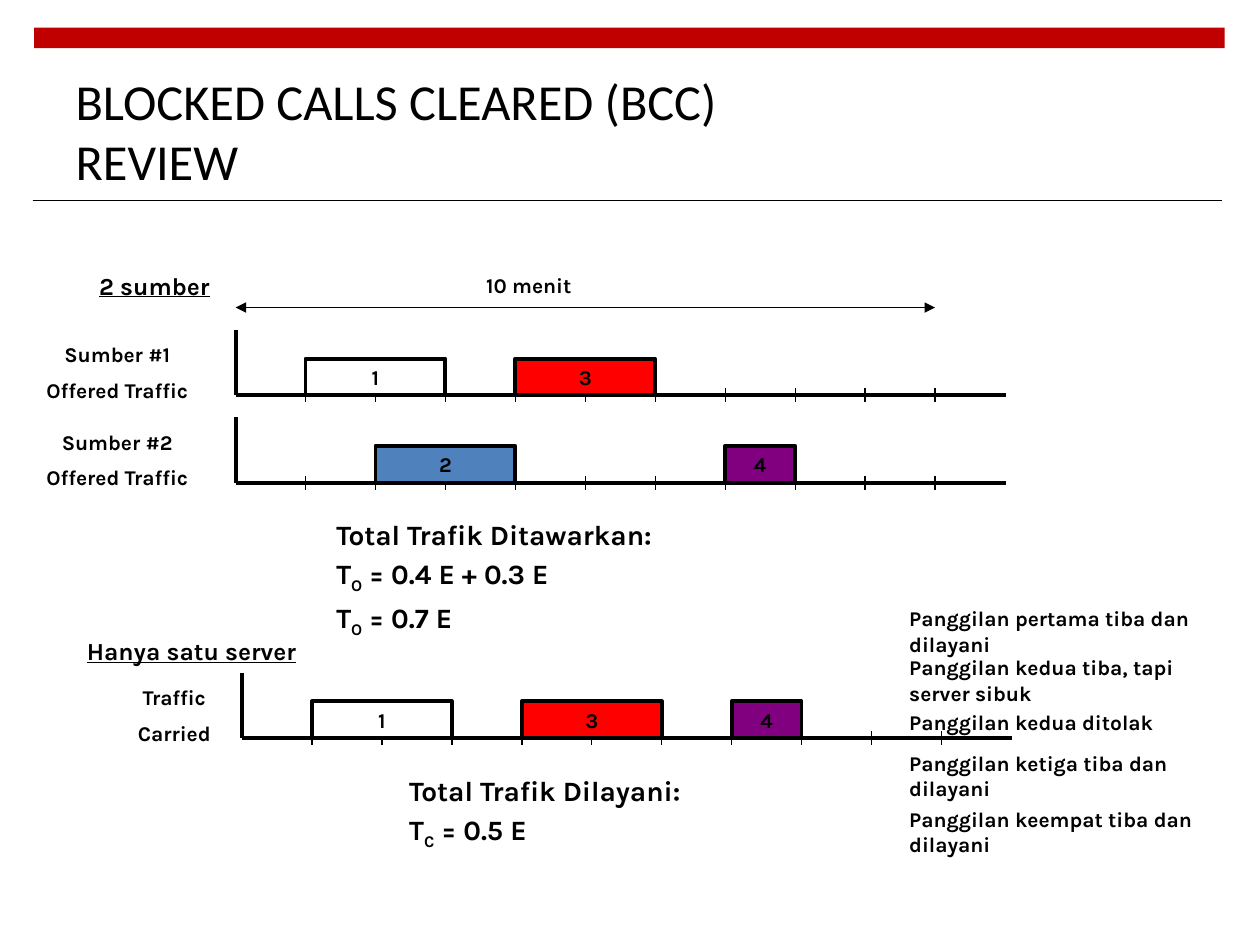
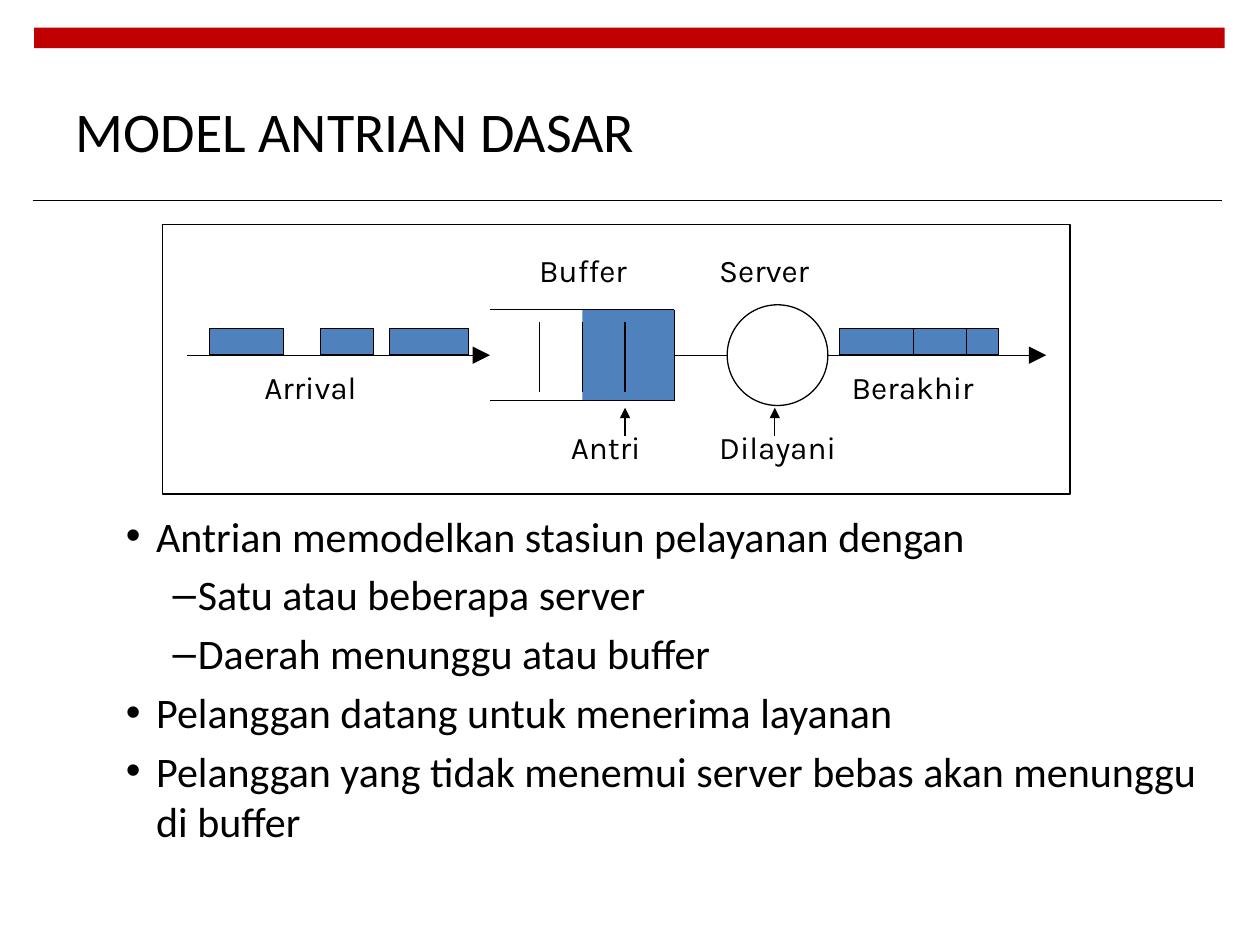
from dataclasses import dataclass

from lxml import etree
from pptx import Presentation
from pptx.dml.color import RGBColor
from pptx.enum.shapes import MSO_CONNECTOR, MSO_SHAPE
from pptx.enum.text import MSO_ANCHOR, MSO_AUTO_SIZE, PP_ALIGN
from pptx.oxml.ns import qn
from pptx.util import Cm, Pt

STRAIGHT = MSO_CONNECTOR.STRAIGHT
RECTANGLE, OVAL = MSO_SHAPE.RECTANGLE, MSO_SHAPE.OVAL
LEFT, CENTER = PP_ALIGN.LEFT, PP_ALIGN.CENTER
TOP, MIDDLE = MSO_ANCHOR.TOP, MSO_ANCHOR.MIDDLE
NO_AUTOSIZE = MSO_AUTO_SIZE.NONE
TITLE_ONLY = 5
RIGHT_SIDE = 3


@dataclass(frozen=True)
class Theme:
    ink: str = "000000"
    paper: str = "FFFFFF"
    band: str = "C00000"
    blue: str = "4F81BD"
    red: str = "FF0000"
    purple: str = "800080"
    heading_font: str = "Calibri"
    label_font: str = "Karla"
    note_size: float = 12
    caption_size: float = 14
    total_size: float = 16
    diagram_size: float = 18
    body_size: float = 24
    thin: float = 0.75
    thick: float = 2.25
    rule: float = 0.6


THEME = Theme()


@dataclass(frozen=True)
class Box:
    """A rectangle in centimetres."""
    left: float
    top: float
    width: float
    height: float

    def inside(self, left, top, width, height):
        return Box(self.left + left, self.top + top, width, height)

    def lengths(self):
        return [Cm(value) for value in (self.left, self.top, self.width, self.height)]


def color(code):
    return RGBColor.from_string(code)


def style_span(span, size, font, bold=False, underline=False):
    span.font.name = font
    span.font.size = Pt(size)
    span.font.bold = bold
    span.font.underline = underline
    span.font.color.rgb = color(THEME.ink)


def write(frame, lines, size, font=THEME.label_font, bold=False, underline=False,
          align=LEFT, anchor=TOP, gap=0.0):
    """Fill a text frame; text between bars, as in T|O|, is subscript."""
    frame.word_wrap = True
    frame.auto_size = NO_AUTOSIZE
    frame.vertical_anchor = anchor
    for index, line in enumerate(lines):
        para = frame.add_paragraph() if index else frame.paragraphs[0]
        para.alignment = align
        para.space_before = Pt(gap if index else 0)
        for part, text in enumerate(line.split("|")):
            span = para.add_run()
            span.text = text
            style_span(span, size, font, bold, underline)
            if part % 2:
                span._r.get_or_add_rPr().set("baseline", "-25000")


def add_text(page, box, lines, size, **style):
    frame = page.shapes.add_textbox(*box.lengths()).text_frame
    write(frame, lines, size, **style)
    return frame


def add_block(page, box, fill=None, line=None, kind=RECTANGLE):
    block = page.shapes.add_shape(kind, *box.lengths())
    block.shadow.inherit = False
    if fill:
        block.fill.solid()
        block.fill.fore_color.rgb = color(fill)
    else:
        block.fill.background()
    if line:
        block.line.color.rgb = color(THEME.ink)
        block.line.width = Pt(line)
    else:
        block.line.fill.background()
    return block


def add_line(page, start, end, width=THEME.thin, head=None, tail=None):
    """Draw a line; head and tail give the arrowhead size at start and end."""
    points = [Cm(value) for value in (*start, *end)]
    line = page.shapes.add_connector(STRAIGHT, *points)
    line.line.color.rgb = color(THEME.ink)
    line.line.width = Pt(width)
    stroke = line.line._get_or_add_ln()
    for tag, size in (("a:headEnd", head), ("a:tailEnd", tail)):
        if size:
            etree.SubElement(stroke, qn(tag), type="triangle", w=size, len=size)
    etree.SubElement(line._element.spPr, qn("a:effectLst"))
    return line


def add_page(deck, title, size):
    """Add a slide with the red band, the rule and its title."""
    page = deck.slides.add_slide(deck.slide_layouts[TITLE_ONLY])
    add_block(page, Box(0.69, 0.56, 24, 0.41), THEME.band)
    add_line(page, (0.66, 4.04), (24.64, 4.04), THEME.rule)
    heading = page.shapes.title
    heading.left, heading.top, heading.width, heading.height = Box(1.27, 1.32, 16.92, 2.62).lengths()
    write(heading.text_frame, [title], size, THEME.heading_font, anchor=MIDDLE)
    heading.text_frame.margin_right = Cm(1)
    return page


MINUTE = 1.41
CALLS = {  # number: (start minute, minutes, fill)
    "1": (1, 2, THEME.paper),
    "2": (2, 2, THEME.blue),
    "3": (4, 2, THEME.red),
    "4": (7, 1, THEME.purple),
}


def draw_timeline(page, box, label, label_offset, numbers):
    bottom = box.top + box.height
    add_line(page, (box.left, bottom), (box.left + box.width, bottom), THEME.thick)
    add_line(page, (box.left, box.top), (box.left, bottom), THEME.thick)
    for minute in range(1, 11):
        x = box.left + minute * MINUTE
        add_line(page, (x, bottom - 0.14), (x, bottom + 0.14))
    add_text(page, box.inside(-label_offset, 0.12, 3.61, 1.52), label, THEME.note_size,
             bold=True, align=CENTER, gap=6)
    height = 0.74
    for number in numbers:
        start, minutes, fill = CALLS[number]
        call = add_block(page, box.inside(start * MINUTE, box.height - height,
                                          minutes * MINUTE, height), fill, THEME.thick)
        write(call.text_frame, [number], THEME.note_size, bold=True,
              align=CENTER, anchor=MIDDLE)


def draw_duration(page, box):
    add_line(page, (box.left, box.top + box.height),
             (box.left + box.width, box.top + box.height), head="med", tail="med")
    add_text(page, box.inside(4.8, 0, 2.4, 0.76), ["10 menit"], THEME.note_size, bold=True)


def draw_call_notes(page, box):
    notes = [
        (0, "Panggilan pertama tiba dan dilayani"),
        (0.99, "Panggilan kedua tiba, tapi server sibuk"),
        (2.08, "Panggilan kedua ditolak"),
        (2.92, "Panggilan ketiga tiba dan dilayani"),
        (4.04, "Panggilan keempat tiba dan dilayani"),
    ]
    for top, note in notes:
        add_text(page, box.inside(0, top, box.width, 1.27), [note], THEME.note_size, bold=True)


def build_blocked_calls(deck):
    page = add_page(deck, "BLOCKED CALLS CLEARED (BCC) REVIEW", 28.8)
    for box, caption in ((Box(1.75, 5.33, 3, 0.84), "2 sumber"),
                         (Box(1.5, 12.7, 5, 0.84), "Hanya satu server")):
        add_text(page, box, [caption], THEME.caption_size, bold=True, underline=True)
    draw_duration(page, Box(4.75, 5.36, 10 * MINUTE, 0.84))
    draw_timeline(page, Box(4.75, 6.65, 15.52, 1.32),
                  ["Sumber #1", "Offered Traffic"], 4.19, "13")
    draw_timeline(page, Box(4.75, 8.41, 15.52, 1.32),
                  ["Sumber #2", "Offered Traffic"], 4.19, "24")
    draw_timeline(page, Box(4.88, 13.56, 15.52, 1.32),
                  ["Traffic", "Carried"], 3.17, "134")
    totals = [
        (Box(6.53, 10.31, 7.44, 2.57),
         ["Total Trafik Ditawarkan:", "T|O| = 0.4 E + 0.3 E", "T|O| = 0.7 E"]),
        (Box(8, 15.47, 6.45, 1.75), ["Total Trafik Dilayani:", "T|C| = 0.5 E"]),
    ]
    for box, lines in totals:
        add_text(page, box, lines, THEME.total_size, bold=True, gap=3.2)
    draw_call_notes(page, Box(18.08, 12.09, 6.8, 5.31))


def draw_queue(page, box):
    def line(start, end, **style):
        return add_line(page, (box.left + start[0], box.top + start[1]),
                        (box.left + end[0], box.top + end[1]), **style)

    flow = 2.64
    buffer_left, buffer_right, buffer_height = 6.6, 10.31, 1.84
    buffer_top = flow - buffer_height / 2
    buffer_bottom = buffer_top + buffer_height
    server_left, server_size = 11.38, 2.03
    server_right = server_left + server_size

    waiting = add_block(page, box.inside(8.46, buffer_top, buffer_right - 8.46, buffer_height),
                        THEME.blue)
    add_block(page, box.inside(server_left, flow - server_size / 2, server_size, server_size),
              THEME.paper, THEME.thin, OVAL)
    link = line((buffer_right, flow), (server_left, flow))
    link.begin_connect(waiting, RIGHT_SIDE)
    for y in (buffer_top, buffer_bottom):
        line((buffer_left, y), (buffer_right, y))
    line((buffer_right, buffer_top), (buffer_right, buffer_bottom))
    for slot in range(3):
        x = 7.6 + slot * 0.86
        line((x, 1.98), (x, 3.38))

    line((0.48, flow), (buffer_left, flow), tail="lg")
    line((server_right, flow), (17.81, flow), tail="lg")
    job_height = 0.53
    jobs = [(0.94, 1.5), (3.18, 1.07), (4.57, 1.6),
            (13.64, 1.5), (15.14, 1.07), (16.21, 0.64)]
    for left, width in jobs:
        add_block(page, box.inside(left, flow - job_height, width, job_height),
                  THEME.blue, THEME.thin)

    labels = [("Arrival", 1.8, 2.77), ("Berakhir", 13.64, 2.77),
              ("Buffer", 7.34, 0.41), ("Server", 10.97, 0.41),
              ("Antri", 7.98, 3.99), ("Dilayani", 10.97, 3.99)]
    for label, left, top in labels:
        add_text(page, box.inside(left, top, 3.63, 1.02), [label], THEME.diagram_size)
    for x in (9.32, 12.34):
        line((x, 4.27), (x, 3.7), tail="med")
    add_block(page, box, line=THEME.thin)


def draw_bullets(page, box):
    items = [
        (0, "Antrian memodelkan stasiun pelayanan dengan"),
        (1, "Satu atau beberapa server"),
        (1, "Daerah menunggu atau buffer"),
        (0, "Pelanggan datang untuk menerima layanan"),
        (0, "Pelanggan yang tidak menemui server bebas akan menunggu di buffer"),
    ]
    levels = [(0.61, 0.61, "•"), (1.45, 0.51, "–")]
    frame = add_text(page, box, [text for _, text in items], THEME.body_size,
                     font=THEME.heading_font, gap=4.8)
    for para, (level, _) in zip(frame.paragraphs, items):
        margin, hanging, mark = levels[level]
        para.level = level
        properties = para._p.get_or_add_pPr()
        properties.set("marL", str(Cm(margin)))
        properties.set("indent", str(-Cm(hanging)))
        etree.SubElement(properties, qn("a:buFont"), typeface="Arial")
        etree.SubElement(properties, qn("a:buChar"), char=mark)


def build_queue_model(deck):
    page = add_page(deck, "MODEL ANTRIAN DASAR", 32)
    draw_bullets(page, Box(2.29, 10.16, 22.25, 8.33))
    draw_queue(page, Box(3.28, 4.52, 18.29, 5.44))


def main():
    deck = Presentation()
    deck.slide_width, deck.slide_height = Cm(25.4), Cm(19.05)
    build_blocked_calls(deck)
    build_queue_model(deck)
    deck.save("out.pptx")


if __name__ == "__main__":
    main()
